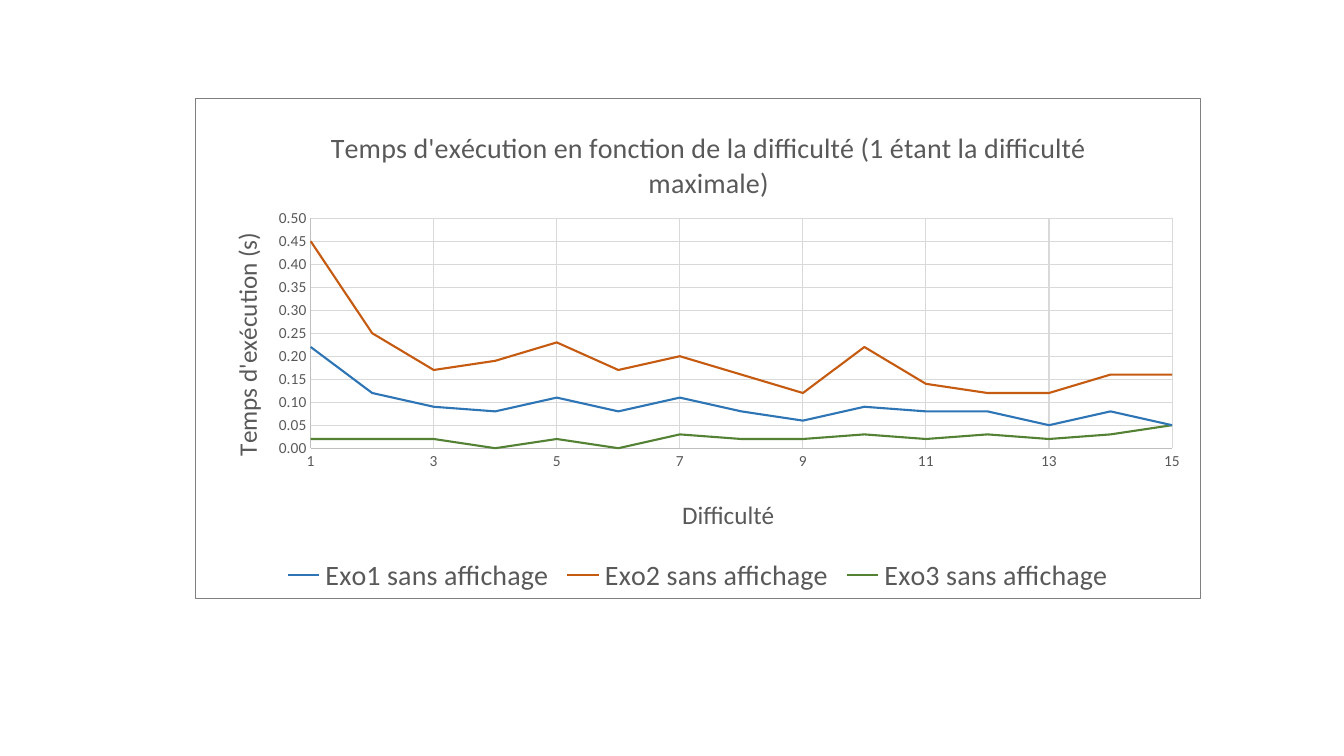
"""Build a slide with a scatter chart of run time against difficulty."""
from typing import NamedTuple

from pptx import Presentation
from pptx.chart.axis import ValueAxis
from pptx.chart.chart import Chart
from pptx.chart.data import XyChartData
from pptx.dml.color import RGBColor
from pptx.dml.line import LineFormat
from pptx.enum.chart import XL_CHART_TYPE, XL_LEGEND_POSITION, XL_TICK_MARK
from pptx.oxml import parse_xml
from pptx.oxml.ns import nsdecls, qn
from pptx.oxml.xmlchemy import BaseOxmlElement
from pptx.text.text import Font, TextFrame
from pptx.util import Inches, Pt

FONT_NAME = "Calibri"
TEXT = RGBColor(0x59, 0x59, 0x59)
GRID = RGBColor(0xD9, 0xD9, 0xD9)
AXIS = RGBColor(0xBF, 0xBF, 0xBF)
BORDER = RGBColor(0x80, 0x80, 0x80)
WHITE = RGBColor(0xFF, 0xFF, 0xFF)
BLUE = RGBColor(0x2E, 0x75, 0xB6)
ORANGE = RGBColor(0xC5, 0x5A, 0x11)
GREEN = RGBColor(0x54, 0x82, 0x35)


class Exercise(NamedTuple):
    name: str
    color: RGBColor
    times: tuple[float, ...]


class AxisStyle(NamedTuple):
    title: str
    left: float
    top: float
    minimum: float
    maximum: float
    step: float
    number_format: str


EXERCISES = (
    Exercise("Exo1 sans affichage", BLUE,
             (0.05, 0.08, 0.05, 0.08, 0.08, 0.09, 0.06, 0.08,
              0.11, 0.08, 0.11, 0.08, 0.09, 0.12, 0.22)),
    Exercise("Exo2 sans affichage", ORANGE,
             (0.16, 0.16, 0.12, 0.12, 0.14, 0.22, 0.12, 0.16,
              0.2, 0.17, 0.23, 0.19, 0.17, 0.25, 0.45)),
    Exercise("Exo3 sans affichage", GREEN,
             (0.05, 0.03, 0.02, 0.03, 0.02, 0.03, 0.02, 0.02,
              0.03, 0, 0.02, 0, 0.02, 0.02, 0.02)),
)
DIFFICULTY = AxisStyle("Difficulté", 0.48, 0.79, 1, 15, 2, "0")
DURATION = AxisStyle("Temps d'exécution (s)", 0.03, 0.26, 0, 0.5, 0.05, "0.00")
TITLE = "Temps d'exécution en fonction de la difficulté (1 étant la difficulté maximale)"


def style_font(font: Font, size: float) -> None:
    font.name = FONT_NAME
    font.size = Pt(size)
    font.bold = False
    font.color.rgb = TEXT


def style_line(line: LineFormat, color: RGBColor, width: float) -> None:
    line.color.rgb = color
    line.width = Pt(width)


def write_title(frame: TextFrame, text: str, size: float) -> None:
    frame.text = text
    style_font(frame.paragraphs[0].font, size)


def place(parent: BaseOxmlElement, index: int, **position: float) -> None:
    for layout in parent.findall(qn("c:layout")):
        parent.remove(layout)
    target = '<c:layoutTarget val="inner"/>' if "w" in position else ""
    modes = '<c:xMode val="edge"/><c:yMode val="edge"/>'
    values = "".join(f'<c:{key} val="{value}"/>' for key, value in position.items())
    parent.insert(index, parse_xml(
        f'<c:layout {nsdecls("c")}><c:manualLayout>{target}{modes}{values}'
        "</c:manualLayout></c:layout>"))


def style_axis(axis: ValueAxis, style: AxisStyle) -> None:
    axis.minimum_scale = style.minimum
    axis.maximum_scale = style.maximum
    axis.major_unit = style.step
    axis.major_tick_mark = XL_TICK_MARK.NONE
    axis.minor_tick_mark = XL_TICK_MARK.NONE
    axis.has_major_gridlines = True
    style_line(axis.major_gridlines.format.line, GRID, 0.75)
    style_line(axis.format.line, AXIS, 0.75)
    axis.tick_labels.number_format = style.number_format
    axis.tick_labels.number_format_is_linked = False
    style_font(axis.tick_labels.font, 11)
    write_title(axis.axis_title.text_frame, style.title, 18)
    place(axis.axis_title.element, 1, x=style.left, y=style.top)


def frame_chart(chart: Chart) -> None:
    chart.element.find(qn("c:chart")).addnext(parse_xml(
        f'<c:spPr {nsdecls("c", "a")}>'
        f'<a:solidFill><a:srgbClr val="{WHITE}"/></a:solidFill>'
        f'<a:ln w="{int(Pt(0.75))}"><a:solidFill><a:srgbClr val="{BORDER}"/>'
        "</a:solidFill></a:ln></c:spPr>"))


deck = Presentation()
deck.slide_width, deck.slide_height = Inches(13.33), Inches(7.5)
page = deck.slides.add_slide(deck.slide_layouts[6])

data = XyChartData()
for exercise in EXERCISES:
    points = data.add_series(exercise.name)
    for difficulty, time in zip(range(15, 0, -1), exercise.times):
        points.add_data_point(difficulty, time)

chart = page.shapes.add_chart(
    XL_CHART_TYPE.XY_SCATTER_LINES_NO_MARKERS,
    Inches(1.93), Inches(0.97), Inches(9.98), Inches(4.97), data).chart
style_font(chart.font, 10)
frame_chart(chart)

chart.has_title = True
write_title(chart.chart_title.text_frame, TITLE, 20)
place(chart.chart_title.element, 1, x=0.13, y=0.05)

style_axis(chart.category_axis, DIFFICULTY)
style_axis(chart.value_axis, DURATION)
place(chart.element.find(f".//{qn('c:plotArea')}"), 0, x=0.115, y=0.24, w=0.857, h=0.46)

chart.has_legend = True
chart.legend.position = XL_LEGEND_POSITION.BOTTOM
chart.legend.include_in_layout = False
style_font(chart.legend.font, 20)

chart.plots[0].vary_by_categories = False
for series, exercise in zip(chart.plots[0].series, EXERCISES):
    series.smooth = False
    style_line(series.format.line, exercise.color, 1.5)

deck.save("out.pptx")
